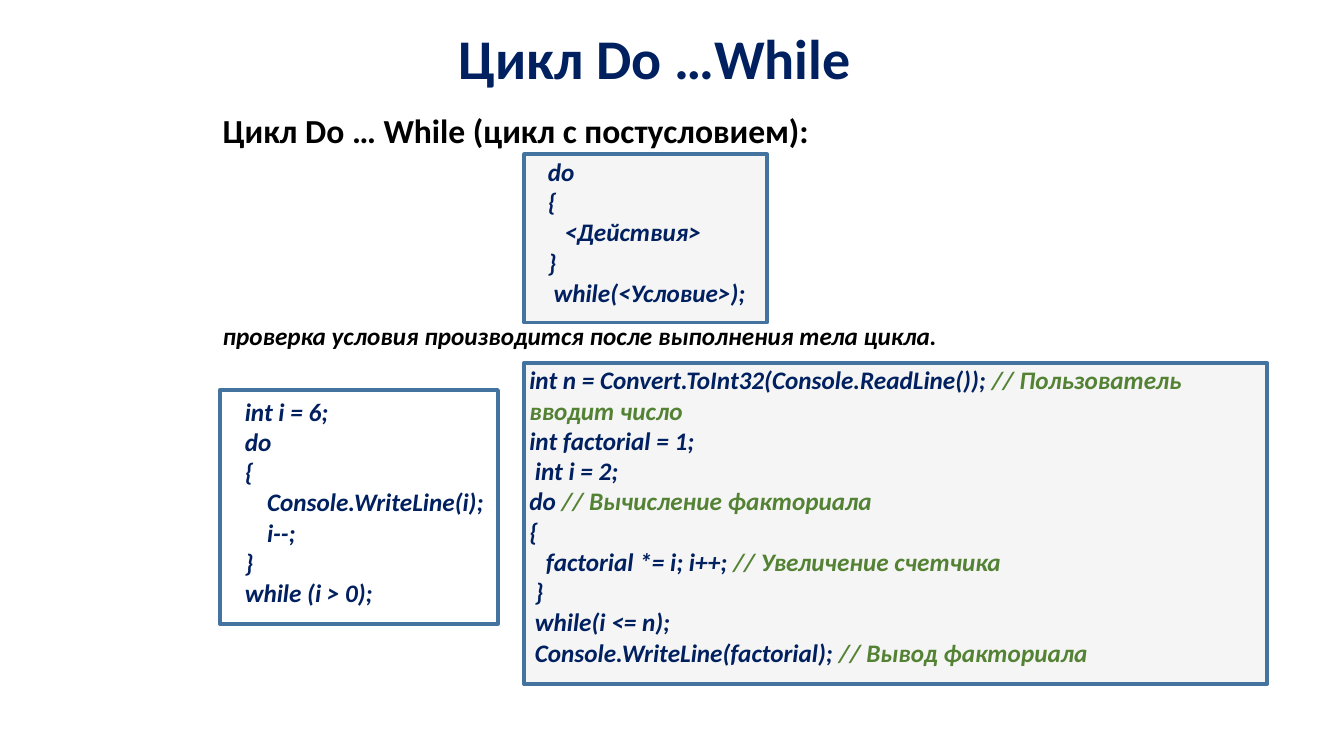
from pptx import Presentation
from pptx.dml.color import RGBColor
from pptx.enum.shapes import MSO_SHAPE as Shape
from pptx.enum.text import MSO_ANCHOR as Anchor, PP_ALIGN as Align
from pptx.util import Cm, Pt

NAVY = RGBColor(0x00, 0x20, 0x60)
BLACK = RGBColor(0, 0, 0)
GREEN = RGBColor(0x54, 0x82, 0x35)
STEEL = RGBColor(0x43, 0x73, 0x9E)
LIGHT = RGBColor(0xF5, 0xF5, 0xF5)

FONT = "Calibri"
SPACE = 0.14  # width of one column of code indent, cm
CODE = {"size": Pt(18), "italic": True, "color": NAVY}
COMMENT = {**CODE, "color": GREEN}

TITLE = "Цикл Do …While"
# text, (left, top, width, height) in cm, format
CAPTIONS = [
    ("Цикл Do … While (цикл с постусловием):", (5.61, 2.76, 26, 1.1),
     {"size": Pt(24), "color": BLACK}),
    ("проверка условия производится после выполнения тела цикла.",
     (5.61, 8.06, 26, 0.8),
     {"size": Pt(18), "italic": True, "color": BLACK}),
]
# Code lines are (indent in columns, text)
TEMPLATE = [(0, "do"), (0, "{"), (3, "<Действия>"), (0, "}"),
            (1, "while(<Условие>);")]
COUNTDOWN = [(0, "int i = 6;"), (0, "do"), (0, "{"),
             (4, "Console.WriteLine(i);"), (4, "i--;"), (0, "}"),
             (0, "while (i > 0);")]
FACTORIAL = [
    (0, "int n = Convert.ToInt32(Console.ReadLine()); "
        "// Пользователь вводит число"),
    (0, "int factorial = 1;"),
    (1, "int i = 2;"),
    (0, "do // Вычисление факториала"),
    (0, "{"),
    (3, "factorial *= i; i++; // Увеличение счетчика"),
    (1, "}"),
    (1, "while(i <= n);"),
    (1, "Console.WriteLine(factorial); // Вывод факториала"),
]
# lines, (left, top, width, height), (left inset, top inset) in cm, fill
CODE_BOXES = [
    (TEMPLATE, (13.21, 3.89, 6.12, 4.24), (0.6, 0.05), LIGHT),
    (COUNTDOWN, (5.54, 9.83, 7.01, 5.89), (0.63, 0.15), None),
    (FACTORIAL, (13.21, 9.14, 18.72, 8.1), (0.13, 0.05), LIGHT),
]


def add_run(p, text, fmt):
    """Append a bold run with the given font attributes."""
    r = p.add_run()
    r.text = text
    for name, value in {"name": FONT, "bold": True, **fmt}.items():
        if name == "color":
            r.font.color.rgb = value
        else:
            setattr(r.font, name, value)


def set_frame(tf, left=0, top=0, anchor=Anchor.TOP):
    """Set wrapping, anchor and insets of a text frame."""
    values = {"word_wrap": True, "vertical_anchor": anchor,
              "margin_left": Cm(left), "margin_top": Cm(top),
              "margin_right": 0, "margin_bottom": 0}
    for name, value in values.items():
        setattr(tf, name, value)


def add_code_box(s, lines, box, insets, fill):
    """Draw an outlined box of code with green comments."""
    sp = s.shapes.add_shape(Shape.RECTANGLE, *map(Cm, box))
    sp.shadow.inherit = False
    sp.line.color.rgb = STEEL
    sp.line.width = Pt(2.75)
    if fill is None:
        sp.fill.background()
    else:
        sp.fill.solid()
        sp.fill.fore_color.rgb = fill
    tf = sp.text_frame
    set_frame(tf, *insets)
    for i, (indent, text) in enumerate(lines):
        p = tf.add_paragraph() if i else tf.paragraphs[0]
        p.alignment = Align.LEFT
        p._p.get_or_add_pPr().set("marL", str(Cm(indent * SPACE)))
        code, mark, comment = text.partition("//")
        add_run(p, code, CODE)
        if mark:
            add_run(p, mark + comment, COMMENT)


prs = Presentation()
prs.slide_width, prs.slide_height = Cm(33.87), Cm(19.05)
s = prs.slides.add_slide(prs.slide_layouts[5])

title = s.shapes.title
title.left, title.top, title.width, title.height = map(
    Cm, (8.33, 0.36, 16.33, 2.39))
set_frame(title.text_frame, anchor=Anchor.MIDDLE)
p = title.text_frame.paragraphs[0]
p.alignment, p.line_spacing = Align.CENTER, 0.9
add_run(p, TITLE, {"size": Pt(40), "color": NAVY})

for text, box, fmt in CAPTIONS:
    tf = s.shapes.add_textbox(*map(Cm, box)).text_frame
    set_frame(tf)
    add_run(tf.paragraphs[0], text, fmt)

for code_box in CODE_BOXES:
    add_code_box(s, *code_box)

prs.save("out.pptx")
